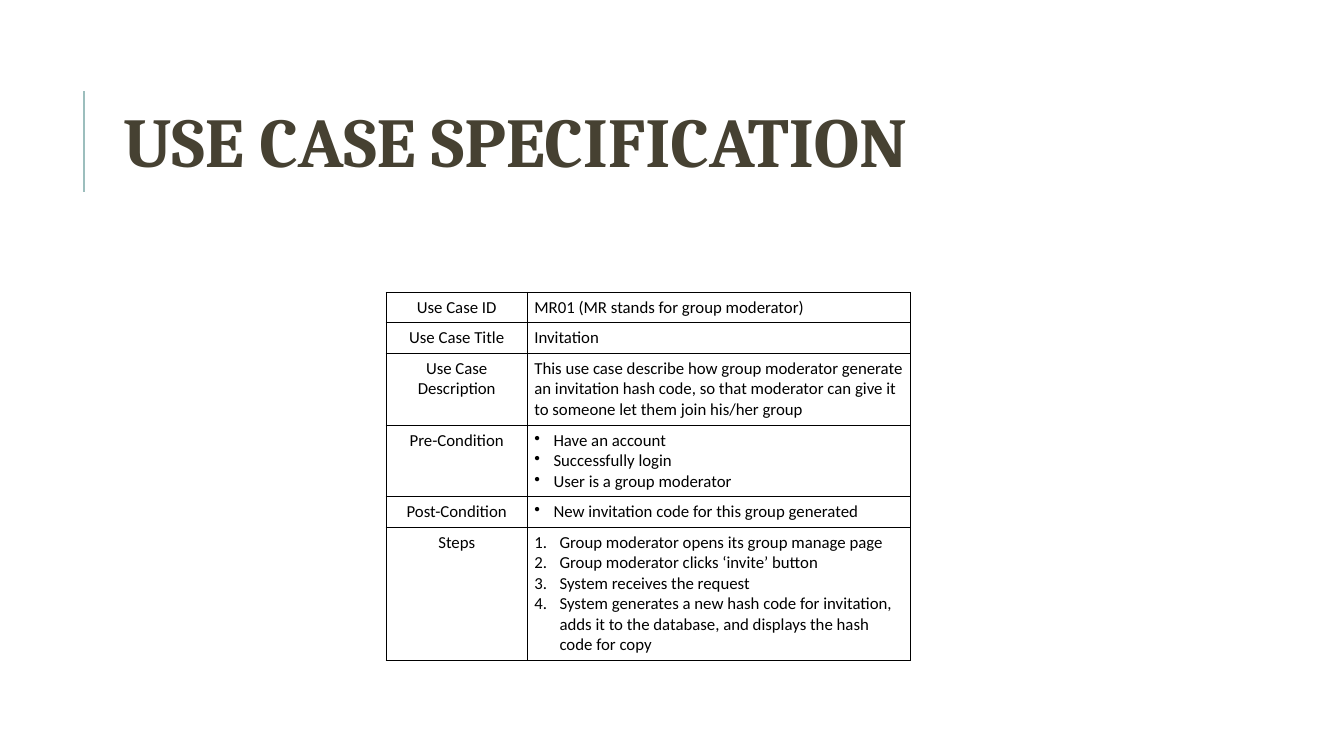
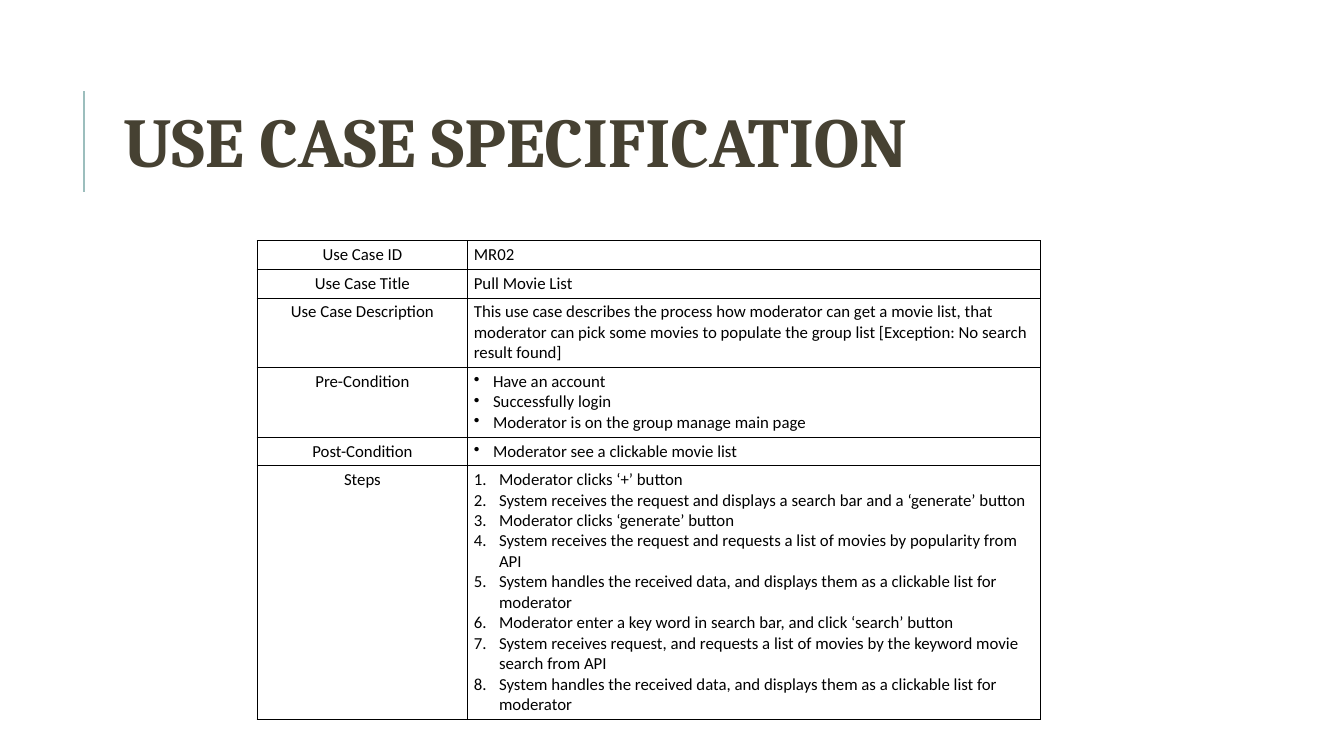
"""Build two use case specification slides, each with a title and a bordered table."""
from dataclasses import dataclass

from lxml import etree
from pptx import Presentation
from pptx import util as u
from pptx.dml.color import RGBColor
from pptx.enum import shapes, text
from pptx.oxml import ns


@dataclass(frozen=True)
class Theme:
    title_color: RGBColor = RGBColor.from_string("464132")
    rule_color: RGBColor = RGBColor.from_string("9CBEBD")
    ink: RGBColor = RGBColor.from_string("000000")
    title_font: str = "Cambria"
    body_font: str = "Calibri"
    title_size: u.Pt = u.Pt(50)
    body_size: u.Pt = u.Pt(12)
    rule_width: u.Pt = u.Pt(1.5)
    border_width: u.Pt = u.Pt(0.75)


THEME = Theme()
PX = 9144
LABELS = ["Use Case ID", "Use Case Title", "Use Case Description",
          "Pre-Condition", "Post-Condition", "Steps"]
BULLET = (19, "buChar", {"char": "•"})
NUMBER = (25, "buAutoNum", {"type": "arabicPeriod"})
MARKERS = {"Pre-Condition": BULLET, "Post-Condition": BULLET, "Steps": NUMBER}
CASES = [
    {
        "left": 383, "top": 290, "columns": [140, 380], "margins": (7, 5),
        "rows": [30, 30, 71, 71, 30, 132],
        "content": [
            ["MR01 (MR stands for group moderator)"],
            ["Invitation"],
            ["This use case describe how group moderator generate an invitation hash code, "
             "so that moderator can give it to someone let them join his/her group"],
            ["Have an account", "Successfully login", "User is a group moderator"],
            ["New invitation code for this group generated"],
            ["Group moderator opens its group manage page",
             "Group moderator clicks ‘invite’ button",
             "System receives the request",
             "System generates a new hash code for invitation, adds it to the database, "
             "and displays the hash code for copy"],
        ],
    },
    {
        "left": 255, "top": 239, "columns": [209, 568], "margins": (6, 4),
        "rows": [28, 28, 69, 69, 28, 252],
        "content": [
            ["MR02"],
            ["Pull Movie List"],
            ["This use case describes the process how moderator can get a movie list, that "
             "moderator can pick some movies to populate the group list "
             "[Exception: No search result found]"],
            ["Have an account", "Successfully login",
             "Moderator is on the group manage main page"],
            ["Moderator see a clickable movie list"],
            ["Moderator clicks ‘+’ button",
             "System receives the request and displays a search bar and a ‘generate’ button",
             "Moderator clicks ‘generate’ button",
             "System receives the request and requests a list of movies by popularity from API",
             "System handles the received data, and displays them as a clickable list "
             "for moderator",
             "Moderator enter a key word in search bar, and click ‘search’ button",
             "System receives request, and requests a list of movies by the keyword movie "
             "search from API",
             "System handles the received data, and displays them as a clickable list "
             "for moderator"],
        ],
    },
]


def add_node(parent, tag, **attributes):
    return etree.SubElement(parent, ns.qn(f"a:{tag}"), attributes)


def fill_cell(cell, lines, margins, align, marker=None):
    cell.margin_left = cell.margin_right = margins[0] * PX
    cell.margin_top = cell.margin_bottom = margins[1] * PX
    properties = cell._tc.get_or_add_tcPr()
    for side in "LRTB":
        border = add_node(properties, f"ln{side}", w=str(THEME.border_width))
        add_node(add_node(border, "solidFill"), "srgbClr", val=str(THEME.ink))
    cell.fill.background()
    cell.text = "\n".join(lines)
    for para in cell.text_frame.paragraphs:
        para.alignment = align
        if marker:
            indent, tag, attributes = marker
            layout_properties = para._p.get_or_add_pPr()
            layout_properties.set("marL", str(indent * PX))
            layout_properties.set("indent", str(-indent * PX))
            add_node(add_node(layout_properties, "buClr"), "srgbClr", val=str(THEME.ink))
            add_node(layout_properties, tag, **attributes)
        para.font.name = THEME.body_font
        para.font.size = THEME.body_size
        para.font.color.rgb = THEME.ink


deck = Presentation()
deck.slide_width, deck.slide_height = 1333 * PX, 750 * PX
layout = deck.slide_layouts.get_by_name("Title Only")
heading = layout.shapes.title if hasattr(layout.shapes, "title") else layout.placeholders[0]
heading.left, heading.top, heading.width, heading.height = (
    length * PX for length in (112, 64, 1063, 164))
pages = [deck.slides.add_slide(layout) for case in CASES]

rule = pages[0].shapes.add_connector(
    shapes.MSO_CONNECTOR.STRAIGHT, 83 * PX, 190 * PX, 83 * PX, 90 * PX)
rule.line.color.rgb = THEME.rule_color
rule.line.width = THEME.rule_width
add_node(rule.element.spPr, "effectLst")
rule.element.nvCxnSpPr.cNvPr.set("id", "20")
layout.shapes.element.insert(2, rule.element)

for page, case in zip(pages, CASES):
    title = page.shapes.title
    title.text = "USE CASE SPECIFICATION"
    title.text_frame.auto_size = text.MSO_AUTO_SIZE.NONE
    title.text_frame.vertical_anchor = text.MSO_ANCHOR.MIDDLE
    para = title.text_frame.paragraphs[0]
    para.alignment = text.PP_ALIGN.LEFT
    para.line_spacing = 0.8
    para.font.name = THEME.title_font
    para.font.size = THEME.title_size
    para.font.bold = True
    para.font.color.rgb = THEME.title_color

    table = page.shapes.add_table(
        len(LABELS), 2, case["left"] * PX, case["top"] * PX,
        sum(case["columns"]) * PX, sum(case["rows"]) * PX).table
    table.first_row = table.horz_banding = False
    for column, width in zip(table.columns, case["columns"]):
        column.width = width * PX
    for row, height, label, lines in zip(table.rows, case["rows"], LABELS, case["content"]):
        row.height = height * PX
        label_cell, content_cell = row.cells
        fill_cell(label_cell, [label], case["margins"], text.PP_ALIGN.CENTER)
        fill_cell(content_cell, lines, case["margins"], text.PP_ALIGN.LEFT,
                  MARKERS.get(label))

deck.save("out.pptx")
